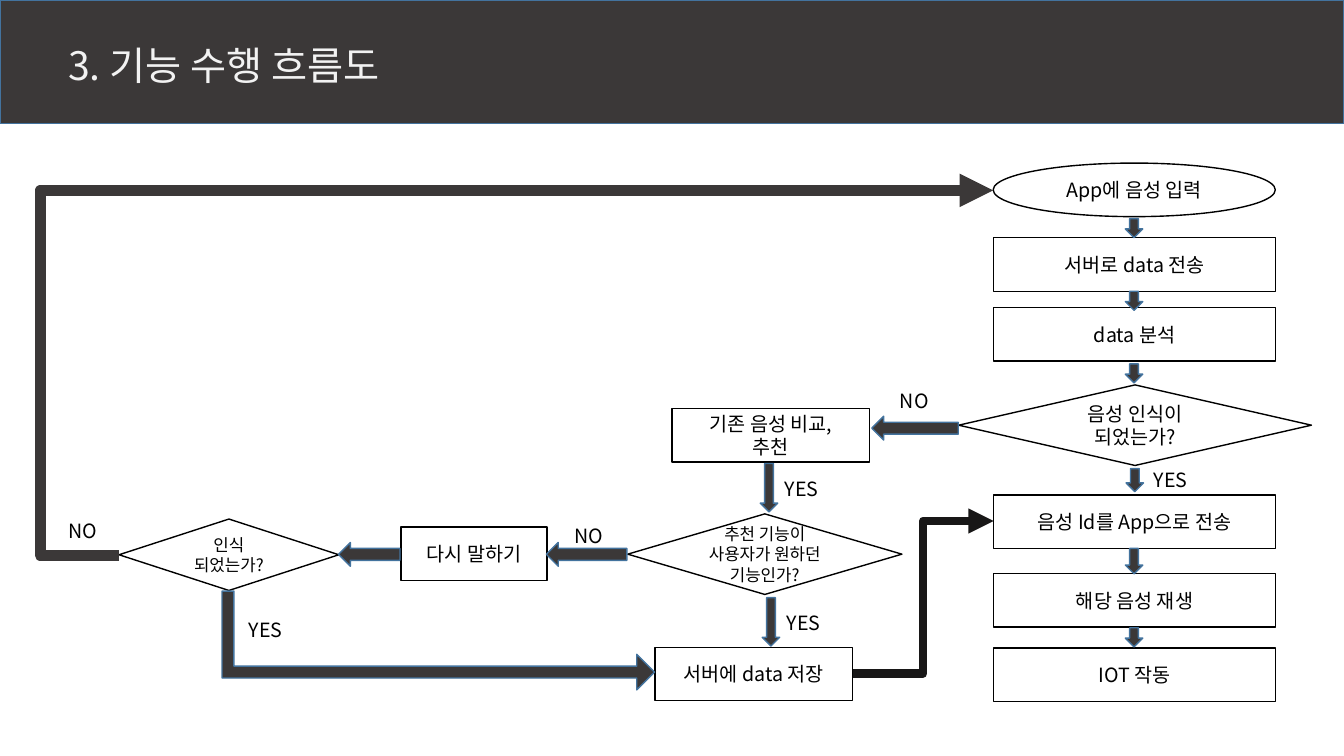
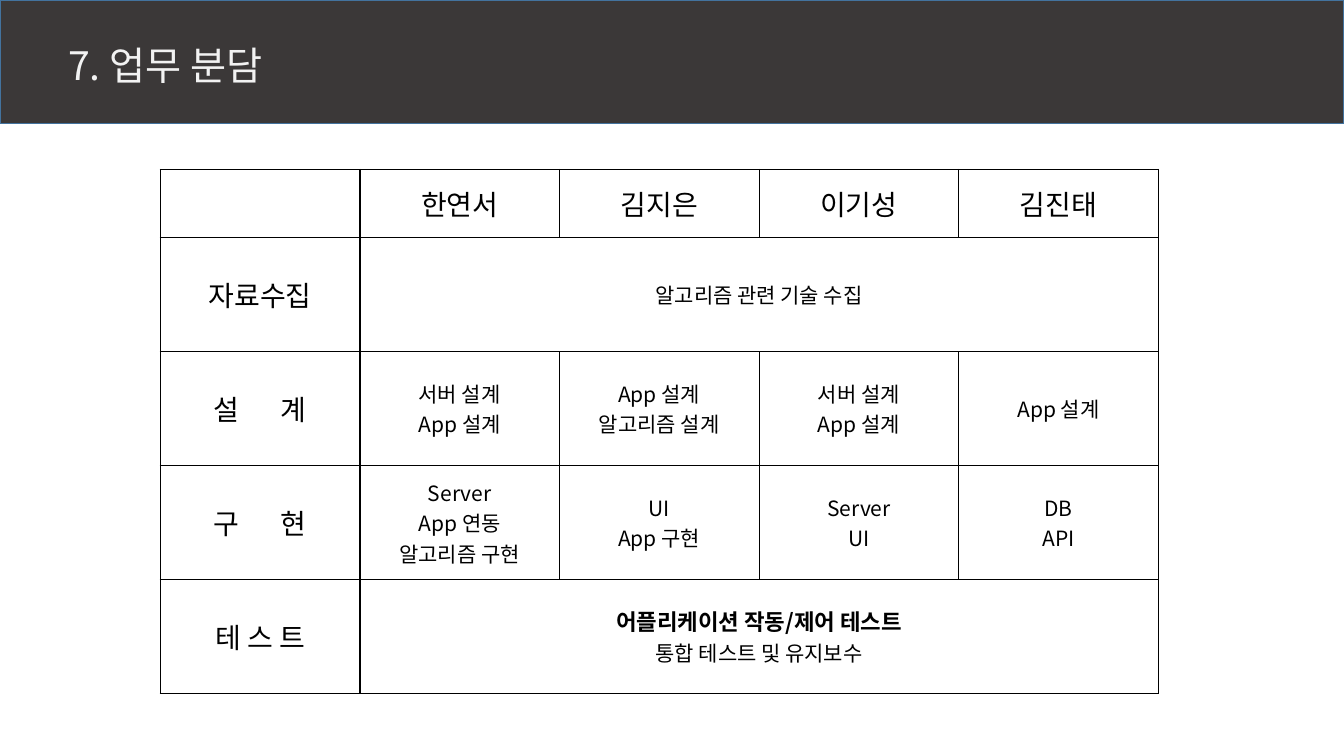
from lxml import etree
from pptx import Presentation
from pptx import util as u
from pptx.dml.color import RGBColor
from pptx.enum import shapes, text
from pptx.oxml.ns import qn

Cm, Pt = u.Cm, u.Pt
SHAPE = shapes.MSO_SHAPE
MIDDLE = text.MSO_ANCHOR.MIDDLE
CENTER, LEFT = text.PP_ALIGN.CENTER, text.PP_ALIGN.LEFT


class Sheet:
    """Holds the deck, its style and the slide being filled."""

    FONT = "Noto Sans CJK KR"
    COLORS = {"dark": "3B3838", "edge": "43739E", "title": "F2F2F2",
              "ink": "000000", "paper": "FFFFFF", "black": "181717"}

    def __init__(self):
        self.deck = Presentation()
        self.deck.slide_width, self.deck.slide_height = Cm(33.87), Cm(19.05)
        self.page = None

    def color(self, name):
        return RGBColor.from_string(self.COLORS[name])

    def start(self, title):
        """Add a slide with the dark band and its title."""
        self.page = self.deck.slides.add_slide(self.deck.slide_layouts[6])
        self.shape(SHAPE.RECTANGLE, 0, 0, 33.87, 3.12, "dark", "edge")
        self.label(title, 1.47, 0.78, 16, 1.6, size=28, color="title",
                   anchor=text.MSO_ANCHOR.BOTTOM, line_spacing=0.9)

    def fill_para(self, para, line, size=14, color="ink", align=CENTER,
                  bold=False, gap=None, line_spacing=None):
        """Put a line into a paragraph; gap widens its first space, in points."""
        layout = {"alignment": align, "line_spacing": line_spacing}
        for key, value in layout.items():
            setattr(para, key, value)
        look = {"name": self.FONT, "size": Pt(size), "bold": bold}
        for piece in line.partition(" ") if gap else [line]:
            span = para.add_run()
            span.text = piece
            for key, value in look.items():
                setattr(span.font, key, value)
            span.font.color.rgb = self.color(color)
            props = span._r.get_or_add_rPr()
            etree.SubElement(props, qn("a:ea"), typeface=self.FONT)
            if gap and piece == " ":
                props.set("spc", str(gap * 100))

    def fill_frame(self, frame, content, **style):
        for number, line in enumerate(content.split("\n")):
            para = frame.add_paragraph() if number else frame.paragraphs[0]
            self.fill_para(para, line, **style)

    def shape(self, kind, left, top, width, height, fill="paper", line="ink"):
        shape = self.page.shapes.add_shape(
            kind, Cm(left), Cm(top), Cm(width), Cm(height))
        shape.shadow.inherit = False
        shape.fill.solid()
        shape.fill.fore_color.rgb = self.color(fill)
        shape.line.color.rgb = self.color(line)
        shape.line.width = Pt(1)
        return shape

    def step(self, content, kind, left, top, width, height=1.35, size=14):
        frame = self.shape(kind, left, top, width, height).text_frame
        for key, value in {"word_wrap": True, "vertical_anchor": MIDDLE}.items():
            setattr(frame, key, value)
        self.fill_frame(frame, content, size=size)

    def arrow(self, kind, left, top, width, height):
        return self.shape(kind, left, top, width, height, "dark", "edge")

    def down_arrow(self, center, top, height):
        self.arrow(SHAPE.DOWN_ARROW, center - 0.22, top, 0.44, height)

    def label(self, content, left, top, width=1.57, height=0.86,
              anchor=text.MSO_ANCHOR.TOP, **style):
        box = self.page.shapes.add_textbox(
            Cm(left), Cm(top), Cm(width), Cm(height))
        for key, value in {"word_wrap": True, "vertical_anchor": anchor}.items():
            setattr(box.text_frame, key, value)
        self.fill_frame(box.text_frame, content, align=LEFT, **style)

    def elbow(self, start, end, bend, color, width):
        """Draw a bent arrow that turns at the share bend of its width."""
        link = self.page.shapes.add_connector(
            shapes.MSO_CONNECTOR.ELBOW, *map(Cm, start + end))
        link.line.color.rgb = self.color(color)
        link.line.width = Pt(width)
        guides = next(link.element.iter(qn("a:avLst")))
        etree.SubElement(guides, qn("a:gd"), name="adj1",
                         fmla=f"val {round(bend * 100000)}")
        outline = next(link.element.iter(qn("a:ln")))
        etree.SubElement(outline, qn("a:tailEnd"), type="triangle")
        etree.SubElement(link.element.spPr, qn("a:effectLst"))

    def table(self, left, top, column, heights, rows):
        """Fill a plain grid; a row with two cells spans its second one."""
        count = max(map(len, rows))
        holder = self.page.shapes.add_table(
            len(rows), count, Cm(left), Cm(top),
            Cm(column * count), Cm(sum(heights)))
        grid = holder.table
        for grid_column in grid.columns:
            grid_column.width = Cm(column)
        for y, (row, height) in enumerate(zip(rows, heights)):
            grid.rows[y].height = Cm(height)
            for cell in grid.rows[y].cells:
                cell.fill.solid()
                cell.fill.fore_color.rgb = self.color("paper")
                cell.vertical_anchor = MIDDLE
            if len(row) == 2:
                grid.cell(y, 1).merge(grid.cell(y, count - 1))
            for x, content in enumerate(row):
                frame = grid.cell(y, x).text_frame
                if isinstance(content, tuple):
                    lead, rest = content
                    self.fill_frame(frame, lead, size=16, bold=True)
                    self.fill_para(frame.add_paragraph(), rest, size=15)
                elif x == 0 or y == 0:
                    wide = content.count(" ") == 1
                    if content:
                        self.fill_frame(frame, content, size=20,
                                        gap=25 if wide else None)
                else:
                    self.fill_frame(frame, content, size=15)
        self.borders(holder)

    def borders(self, holder):
        for props in holder.element.iter(qn("a:tcPr")):
            for place, side in enumerate(("lnL", "lnR", "lnT", "lnB")):
                line = etree.Element(qn(f"a:{side}"), w=str(int(Pt(1))))
                fill = etree.SubElement(line, qn("a:solidFill"))
                etree.SubElement(fill, qn("a:srgbClr"), val=self.COLORS["ink"])
                props.insert(place, line)


def flow_page(sheet):
    sheet.start("3. 기능 수행 흐름도")
    box, decision = SHAPE.RECTANGLE, SHAPE.FLOWCHART_DECISION
    sheet.step("App에 음성 입력", SHAPE.OVAL, 25.03, 4.11, 7.11)
    for content, top in (("서버로 data 전송", 5.99), ("data 분석", 7.75),
                         ("음성 Id를 App으로 전송", 12.47),
                         ("해당 음성 재생", 14.45), ("IOT 작동", 16.33)):
        sheet.step(content, box, 25.04, top, 7.11)
    for content, left, top, width in (
            ("기존 음성 비교,\n추천", 16.94, 10.29, 4.98),
            ("서버에 data 저장", 16.51, 16.31, 4.98),
            ("다시 말하기", 10.11, 13.28, 3.68)):
        sheet.step(content, box, left, top, width)
    for content, left, top, width, height, size in (
            ("음성 인식이\n되었는가?", 24.16, 9.7, 8.89, 2.03, 14),
            ("추천 기능이\n사용자가 원하던 기능인가?", 15.82, 12.95, 6.91, 2.03, 12),
            ("인식\n되었는가?", 3, 13.08, 5.54, 1.8, 12)):
        sheet.step(content, decision, left, top, width, height, size)

    for center, top, height in (
            (28.58, 5.51, 0.48), (28.58, 7.34, 0.48), (28.58, 9.17, 0.48),
            (28.6, 11.81, 0.58), (28.58, 13.82, 0.64), (28.58, 15.82, 0.48),
            (19.38, 11.68, 1.22), (19.43, 15.06, 1.22)):
        sheet.down_arrow(center, top, height)
    for left, top, width in ((21.97, 10.49, 2.18), (13.77, 13.67, 2.03),
                             (8.53, 13.67, 1.55)):
        sheet.arrow(SHAPE.LEFT_ARROW, left, top, width, 0.6)
    for content, spots in (
            ("NO", ((22.43, 9.68), (14.22, 13.08), (1.47, 12.95))),
            ("YES", ((28.83, 11.66), (19.58, 15.27), (6.02, 15.44),
                     (19.53, 11.89)))):
        for left, top in spots:
            sheet.label(content, left, top)

    sheet.elbow((3, 14), (25.03, 4.8), -0.09, "dark", 8)
    sheet.elbow((21.49, 16.97), (25.04, 13.13), 0.5, "black", 6)
    save_arrow = sheet.arrow(SHAPE.BENT_UP_ARROW, 9.8, 10.69, 2.49, 10.9)
    save_arrow.rotation = 90
    for place, share in enumerate((0.12, 0.18, 0.18)):
        save_arrow.adjustments[place] = share


def work_page(sheet):
    sheet.start("7. 업무 분담")
    sheet.table(4.04, 4.27, 5.03, [1.72] + [2.87] * 4, [
        ["", "한연서", "김지은", "이기성", "김진태"],
        ["자료수집", "알고리즘 관련 기술 수집"],
        ["설 계", "서버 설계\nApp 설계", "App 설계\n알고리즘 설계",
         "서버 설계\nApp 설계", "App 설계"],
        ["구 현", "Server\nApp 연동\n알고리즘 구현", "UI\nApp 구현",
         "Server\nUI", "DB\nAPI"],
        ["테 스 트", ("어플리케이션 작동/제어 테스트", "통합 테스트 및 유지보수")],
    ])


def main():
    sheet = Sheet()
    flow_page(sheet)
    work_page(sheet)
    sheet.deck.save("out.pptx")


if __name__ == "__main__":
    main()
